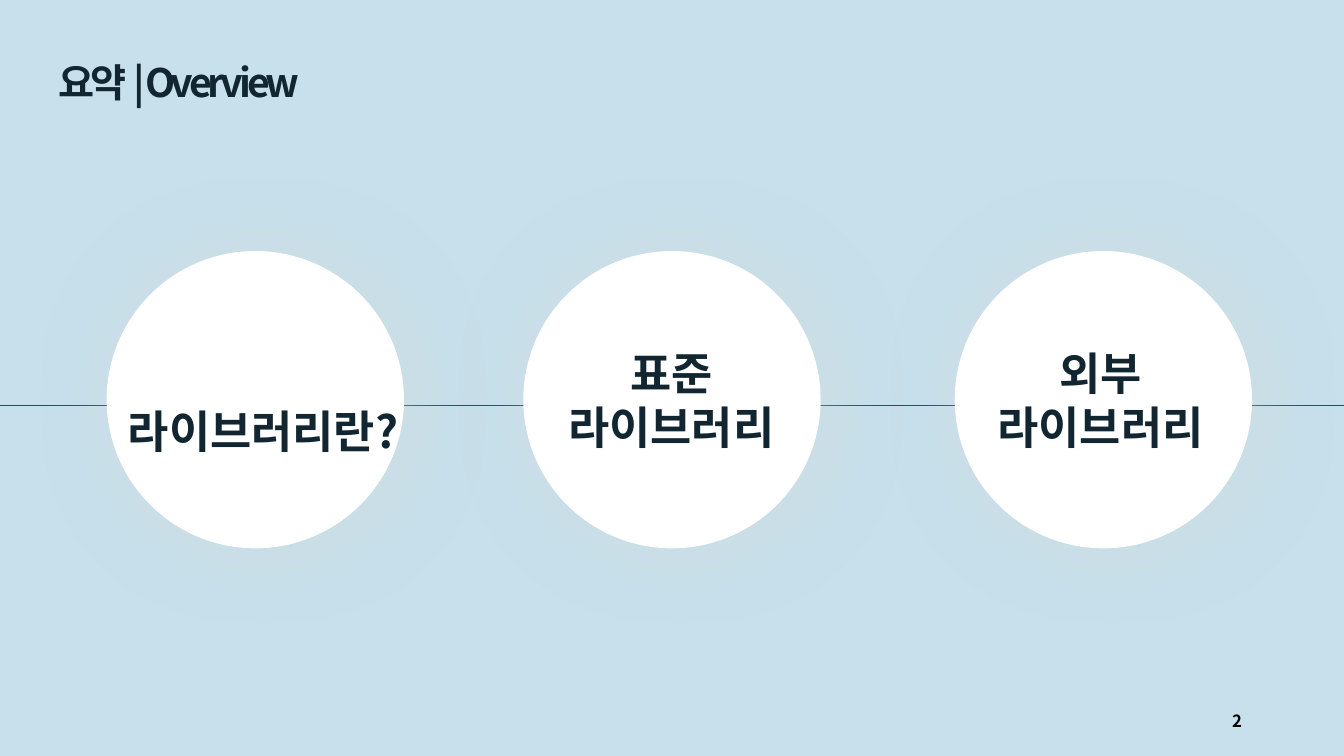
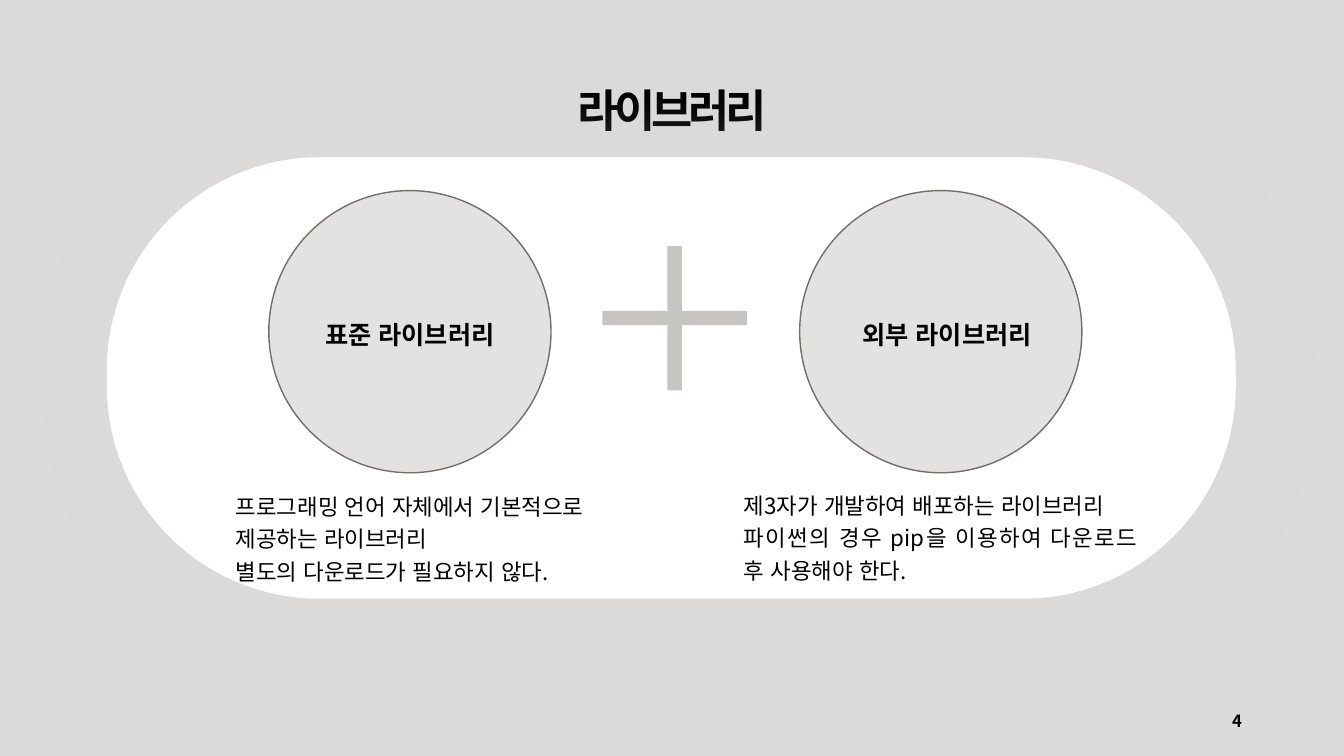
from dataclasses import dataclass
from typing import Optional

from lxml.etree import SubElement
from pptx import Presentation
from pptx.dml.color import RGBColor
from pptx.enum.lang import MSO_LANGUAGE_ID
from pptx.enum.shapes import MSO_CONNECTOR, MSO_SHAPE
from pptx.enum.text import MSO_ANCHOR, MSO_AUTO_SIZE, PP_ALIGN
from pptx.oxml.ns import qn
from pptx.util import Inches, Pt

WIDE, HIGH = Inches(13.333), Inches(7.5)
FACE = "Noto Sans CJK KR"
HUES = {
    "sky": "C7E0EB", "navy": "112630", "rule": "224D60",
    "stone": "DCDBD9", "edge": "726F69", "plus": "C7C5C2",
    "white": "FFFFFF", "black": "000000", "shade": "D9D9D9",
}


@dataclass(frozen=True)
class Box:
    """Left, top, width and height in percent of the slide's size."""
    x: float
    y: float
    w: float
    h: float

    def span(self) -> tuple[int, int, int, int]:
        return (int(WIDE * self.x / 100), int(HIGH * self.y / 100),
                int(WIDE * self.w / 100), int(HIGH * self.h / 100))


@dataclass(frozen=True)
class Style:
    font: dict
    para: dict
    hue: str = "black"
    track: int = 0
    anchor: MSO_ANCHOR = MSO_ANCHOR.TOP
    wrap: bool = True


@dataclass(frozen=True)
class Label:
    lines: tuple[str, ...]
    box: Box


HEAD = {"bold": True, "size": Pt(32)}
MID = {"alignment": PP_ALIGN.CENTER}
STYLES = {
    "left": Style({**HEAD, "size": Pt(28)}, {"alignment": PP_ALIGN.LEFT},
                  "navy", -300),
    "title": Style(HEAD, MID, "black", -300),
    "topic": Style(HEAD, MID, "navy", wrap=False),
    "name": Style({**HEAD, "size": Pt(18)}, MID),
    "body": Style({"bold": False, "size": Pt(16)},
                  {"alignment": PP_ALIGN.JUSTIFY, "line_spacing": 1.2}),
    "page": Style({**HEAD, "size": Pt(12)}, {"alignment": PP_ALIGN.RIGHT},
                  anchor=MSO_ANCHOR.MIDDLE),
}
PAGE = Box(70.65, 92.67, 22.5, 5.33)


def tint(name: str) -> RGBColor:
    return RGBColor.from_string(HUES[name])


def square(mid: float, row: float, size: float) -> Box:
    """Box with equal sides, from its centre and its share of the height."""
    wide = size * HIGH / WIDE
    return Box(mid - wide / 2, row - size / 2, wide, size)


def write(shape, label: Label, style: Style) -> None:
    """Place a text shape in front and fill it with formatted lines."""
    node = shape.element
    node.getparent().append(node)
    for key, val in zip(("left", "top", "width", "height"), label.box.span()):
        setattr(shape, key, val)
    frame = shape.text_frame
    frame.text = "\n".join(label.lines)
    setup = {"auto_size": MSO_AUTO_SIZE.NONE, "word_wrap": style.wrap,
             "vertical_anchor": style.anchor}
    for key, val in setup.items():
        setattr(frame, key, val)
    for para in frame.paragraphs:
        props = para._p.get_or_add_pPr()
        props.set("marL", "0")
        props.set("indent", "0")
        SubElement(props, qn("a:buNone"))
        for key, val in {"space_before": Pt(0), **style.para}.items():
            setattr(para, key, val)
        for run in para.runs:
            look = {"name": FACE, "language_id": MSO_LANGUAGE_ID.KOREAN,
                    **style.font}
            for key, val in look.items():
                setattr(run.font, key, val)
            run.font.color.rgb = tint(style.hue)
            mark = run.font._element
            SubElement(mark, qn("a:ea")).set("typeface", FACE)
            if style.track:
                mark.set("spc", str(style.track))


def note(slide, label: Label, style: str) -> None:
    write(slide.shapes.add_textbox(*label.box.span()), label, STYLES[style])


def draw(slide, kind: MSO_SHAPE, box: Box, hue: str,
         edge: Optional[str] = None, bend: Optional[float] = None,
         alpha: int = 100, shade: bool = False) -> None:
    shape = slide.shapes.add_shape(kind, *box.span())
    shape.shadow.inherit = False
    shape.fill.solid()
    shape.fill.fore_color.rgb = tint(hue)
    if edge:
        shape.line.color.rgb = tint(edge)
        shape.line.width = Pt(1)
    else:
        shape.line.fill.background()
    if bend is not None:
        shape.adjustments[0] = bend
    props = shape.element.spPr
    if alpha < 100:
        fill = props.find(f"{qn('a:solidFill')}/{qn('a:srgbClr')}")
        SubElement(fill, qn("a:alpha")).set("val", str(alpha * 1000))
    if shade:
        blur = SubElement(props.find(qn("a:effectLst")), qn("a:outerShdw"),
                          blurRad=str(Pt(60)), dist=str(Pt(6)), dir="60000",
                          algn="ctr", rotWithShape="0")
        tone = SubElement(blur, qn("a:srgbClr"), val=HUES["shade"])
        SubElement(tone, qn("a:alpha"), val="45000")


def start(deck, layout: int, back: str, title: Label, style: str, page: str):
    """Add a slide with its background, title and page number."""
    slide = deck.slides.add_slide(deck.slide_layouts[layout])
    slide.background.fill.solid()
    slide.background.fill.fore_color.rgb = tint(back)
    write(slide.shapes.title, title, STYLES[style])
    note(slide, Label((page,), PAGE), "page")
    return slide


def topics(deck) -> None:
    title = Label(("요약 | Overview",), Box(3.6, 7.07, 40, 7.6))
    slide = start(deck, 5, "sky", title, "left", "2")
    row = int(HIGH * 0.536)
    rule = slide.shapes.add_connector(MSO_CONNECTOR.STRAIGHT, 0, row, WIDE, row)
    rule.line.color.rgb = tint("rule")
    rule.line.width = Pt(0.5)
    SubElement(rule._element.spPr, qn("a:effectLst"))
    for mid in (19, 50, 82.1):
        draw(slide, MSO_SHAPE.OVAL, square(mid, 52.87, 39.33), "white",
             shade=True)
    for label in (
        Label(("라이브러리란?",), Box(9.08, 52.8, 21, 8.4)),
        Label(("표준", "라이브러리"), Box(40.05, 45.07, 19.8, 15.73)),
        Label(("외부", "라이브러리"), Box(72, 45.07, 19.8, 15.73)),
    ):
        note(slide, label, "topic")


def kinds(deck) -> None:
    title = Label(("라이브러리",), Box(30, 10.27, 40, 8.53))
    slide = start(deck, 3, "stone", title, "title", "4")
    draw(slide, MSO_SHAPE.ROUNDED_RECTANGLE, Box(7.95, 20.8, 84, 58.4),
         "white", bend=0.482, shade=True)
    draw(slide, MSO_SHAPE.MATH_PLUS, square(50.2, 42.07, 26), "plus",
         bend=0.073)
    names = (
        Label(("표준 라이브러리",), Box(22.73, 41.6, 15.53, 5.33)),
        Label(("외부 라이브러리",), Box(62.7, 41.6, 15.53, 5.33)),
    )
    texts = (
        Label(("프로그래밍 언어 자체에서 기본적으로 제공하는 라이브러리",
               "별도의 다운로드가 필요하지 않다."),
              Box(16.8, 63.87, 27.38, 13.87)),
        Label(("제3자가 개발하여 배포하는 라이브러리",
               "파이썬의 경우 pip을 이용하여 다운로드 후 사용해야 한다."),
              Box(54.6, 63.73, 30.75, 13.87)),
    )
    for spot, (mid, name, text) in enumerate(zip((30.5, 70), names, texts), 1):
        draw(slide, MSO_SHAPE.OVAL, square(mid, 43.87, 37.33), "stone",
             edge="edge", alpha=80)
        note(slide, name, "name")
        write(slide.placeholders[spot], text, STYLES["body"])


def main() -> None:
    deck = Presentation()
    deck.slide_width, deck.slide_height = WIDE, HIGH
    topics(deck)
    kinds(deck)
    deck.save("out.pptx")


if __name__ == "__main__":
    main()
